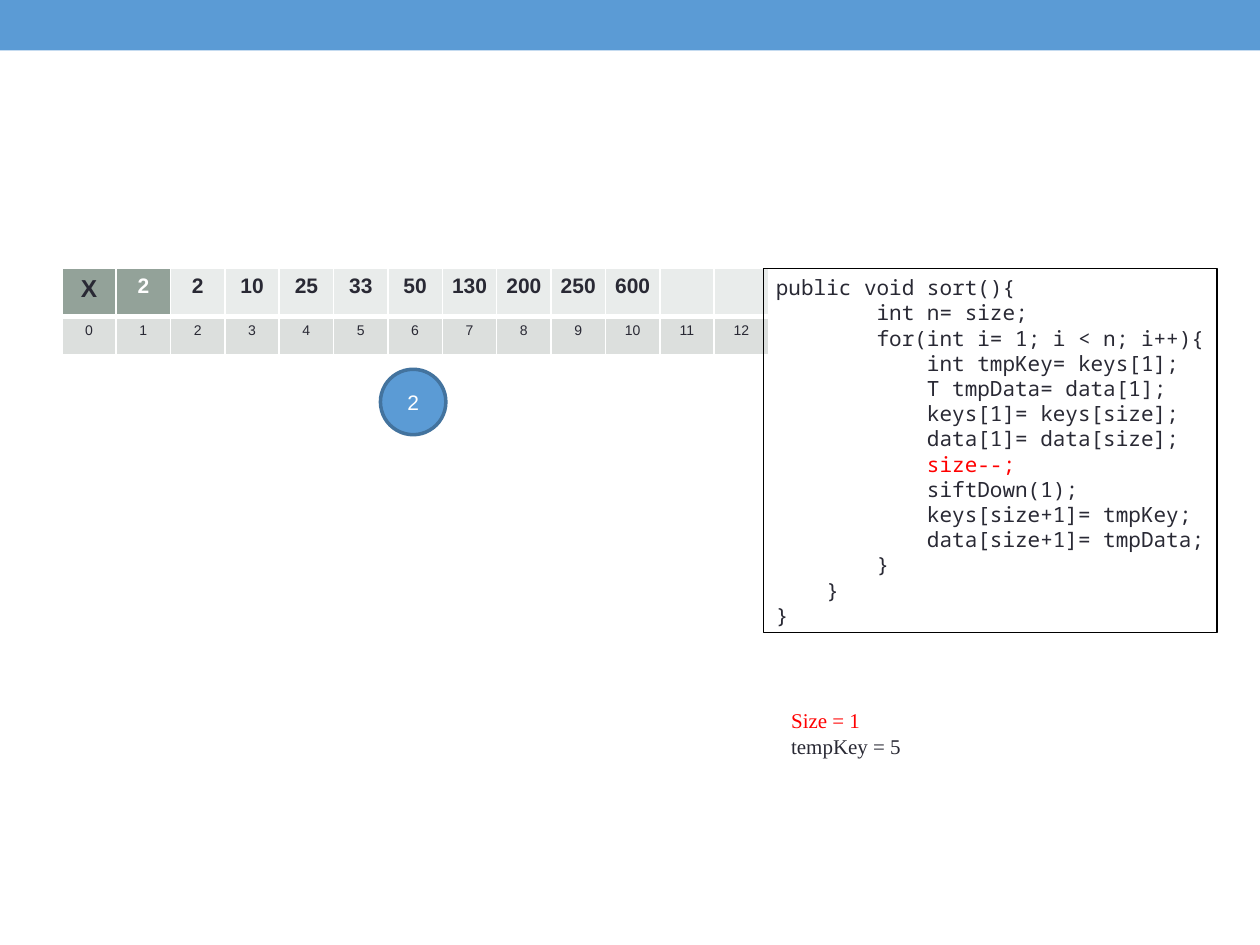
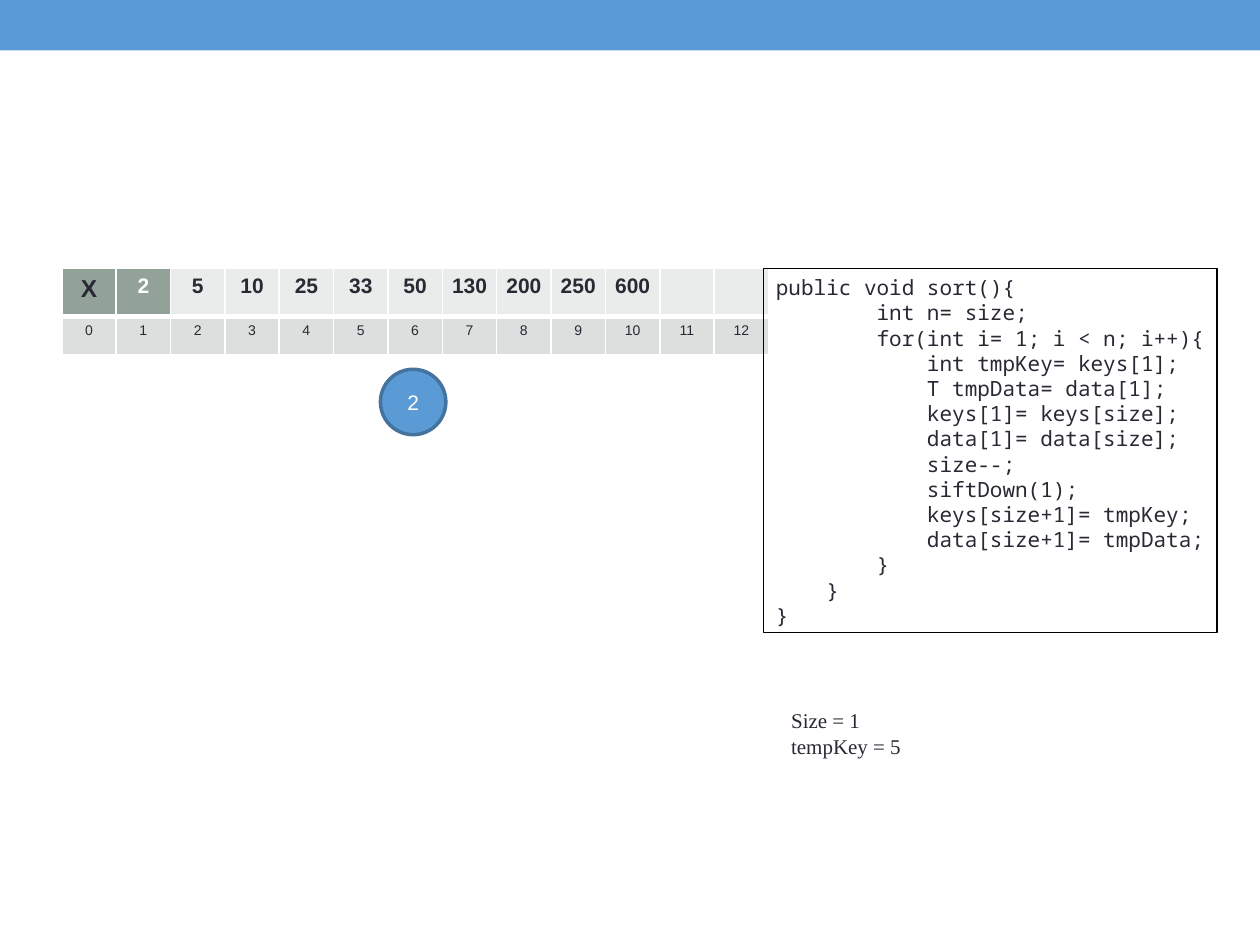
from dataclasses import dataclass

from lxml.etree import SubElement
from pptx import Presentation
from pptx.dml.color import RGBColor
from pptx.enum.shapes import MSO_SHAPE
from pptx.enum.text import MSO_ANCHOR, PP_ALIGN
from pptx.oxml.ns import qn
from pptx.util import Pt


@dataclass(frozen=True)
class Theme:
    blue: str = "5B9BD5"
    blue_edge: str = "43739E"
    ink: str = "292934"
    white: str = "FFFFFF"
    black: str = "000000"
    red: str = "FF0000"
    used_cell: str = "93A299"
    key_cell: str = "E9ECEB"
    index_cell: str = "DCDFDD"
    sans: str = "Arial"
    mono: str = "Noto Sans Mono"
    serif: str = "Times New Roman"
    large: float = 14
    body: float = 12
    small: float = 8
    thin: float = 0.96
    thick: float = 3


SORT_CODE = """public void sort(){
        int n= size;
        for(int i= 1; i < n; i++){
            int tmpKey= keys[1];
            T tmpData= data[1];
            keys[1]= keys[size];
            data[1]= data[size];
            size--;
            siftDown(1);
            keys[size+1]= tmpKey;
            data[size+1]= tmpData;
        }
    }
}"""
VARIABLES = "Size = 1\ntempKey = 5"
SORTED_TAIL = ["10", "25", "33", "50", "130", "200", "250", "600", "", ""]


def write(tf, text, *, size, font, color, bold=False, align=PP_ALIGN.LEFT,
          marked=(), mark_color=None):
    for i, line in enumerate(text.split("\n")):
        p = tf.paragraphs[0] if i == 0 else tf.add_paragraph()
        p.alignment = align
        r = p.add_run()
        r.text = line
        r.font.size = Pt(size)
        r.font.name = font
        r.font.bold = bold
        shade = mark_color if line.strip() in marked else color
        r.font.color.rgb = RGBColor.from_string(shade)


class Deck:
    def __init__(self, theme):
        self.theme = theme
        self.prs = Presentation()
        self.prs.slide_width, self.prs.slide_height = Pt(720), Pt(540)
        self.s = None

    def slide(self):
        self.s = self.prs.slides.add_slide(self.prs.slide_layouts[6])
        self.shape(MSO_SHAPE.RECTANGLE, 0, 0, 720, 28.8, fill=self.theme.blue)

    def shape(self, kind, x, y, w, h, fill=None, line=None, weight=0.75):
        sp = self.s.shapes.add_shape(kind, Pt(x), Pt(y), Pt(w), Pt(h))
        sp.shadow.inherit = False
        if fill:
            sp.fill.solid()
            sp.fill.fore_color.rgb = RGBColor.from_string(fill)
        else:
            sp.fill.background()
        if line:
            sp.line.color.rgb = RGBColor.from_string(line)
            sp.line.width = Pt(weight)
        else:
            sp.line.fill.background()
        return sp

    def node(self, key, x, y, diameter):
        t = self.theme
        sp = self.shape(MSO_SHAPE.OVAL, x, y, diameter, diameter,
                        fill=t.blue, line=t.blue_edge, weight=2)
        sp.text_frame.vertical_anchor = MSO_ANCHOR.MIDDLE
        write(sp.text_frame, key, size=t.body, font=t.sans, color=t.white,
              align=PP_ALIGN.CENTER)

    def code(self, text, x, y, w, h, marked):
        t = self.theme
        tf = self.shape(MSO_SHAPE.RECTANGLE, x, y, w, h, line=t.black).text_frame
        tf.word_wrap = False
        tf.vertical_anchor = MSO_ANCHOR.TOP
        write(tf, text, size=t.body, font=t.mono, color=t.ink,
              marked=marked, mark_color=t.red)

    def label(self, text, x, y, w, h, marked):
        t = self.theme
        tf = self.s.shapes.add_textbox(Pt(x), Pt(y), Pt(w), Pt(h)).text_frame
        tf.word_wrap = False
        write(tf, text, size=t.body, font=t.serif, color=t.ink,
              marked=marked, mark_color=t.red)

    def cell(self, cell, text, fill, top, bottom, **style):
        t = self.theme
        tc_pr = cell._tc.get_or_add_tcPr()
        for side, weight in (("L", t.thin), ("R", t.thin), ("T", top), ("B", bottom)):
            ln = SubElement(tc_pr, qn(f"a:ln{side}"), w=str(Pt(weight)))
            solid = SubElement(ln, qn("a:solidFill"))
            SubElement(solid, qn("a:srgbClr"), val=t.white)
        cell.fill.solid()
        cell.fill.fore_color.rgb = RGBColor.from_string(fill)
        cell.margin_left = cell.margin_right = Pt(5)
        cell.margin_top = cell.margin_bottom = Pt(3.6)
        if text:
            write(cell.text_frame, text, font=t.sans, align=PP_ALIGN.CENTER, **style)
        else:
            SubElement(cell.text_frame.paragraphs[0]._p, qn("a:endParaRPr"),
                       sz=str(t.body * 100))

    def heap_array(self, keys, x, y, column, heights):
        t = self.theme
        frame = self.s.shapes.add_table(2, len(keys), Pt(x), Pt(y),
                                        Pt(column * len(keys)), Pt(sum(heights)))
        table = frame.table
        table.first_row = table.horz_banding = False
        for row, height in zip(table.rows, heights):
            row.height = Pt(height)
        for i, key in enumerate(keys):
            table.columns[i].width = Pt(column)
            self.cell(table.cell(0, i), key, t.used_cell if i < 2 else t.key_cell,
                      t.thin, t.thick, size=t.large if i == 0 else t.body,
                      color=t.white if i == 1 else t.ink, bold=True)
            self.cell(table.cell(1, i), str(i), t.index_cell, t.thick, t.thin,
                      size=t.small, color=t.ink)


def main():
    deck = Deck(Theme())
    steps = [("2", ("size--;", "Size = 1")), ("5", ())]
    for second_key, marked in steps:
        deck.slide()
        deck.heap_array(["X", "2", second_key] + SORTED_TAIL, 35.3, 153.4,
                        31.07, (27.5, 21.6))
        deck.node("2", 217.4, 211, 37.4)
        deck.code(SORT_CODE, 436.3, 153.4, 259.2, 208.1, marked)
        deck.label(VARIABLES, 445, 401, 77, 36, marked)
    deck.prs.save("out.pptx")


if __name__ == "__main__":
    main()
